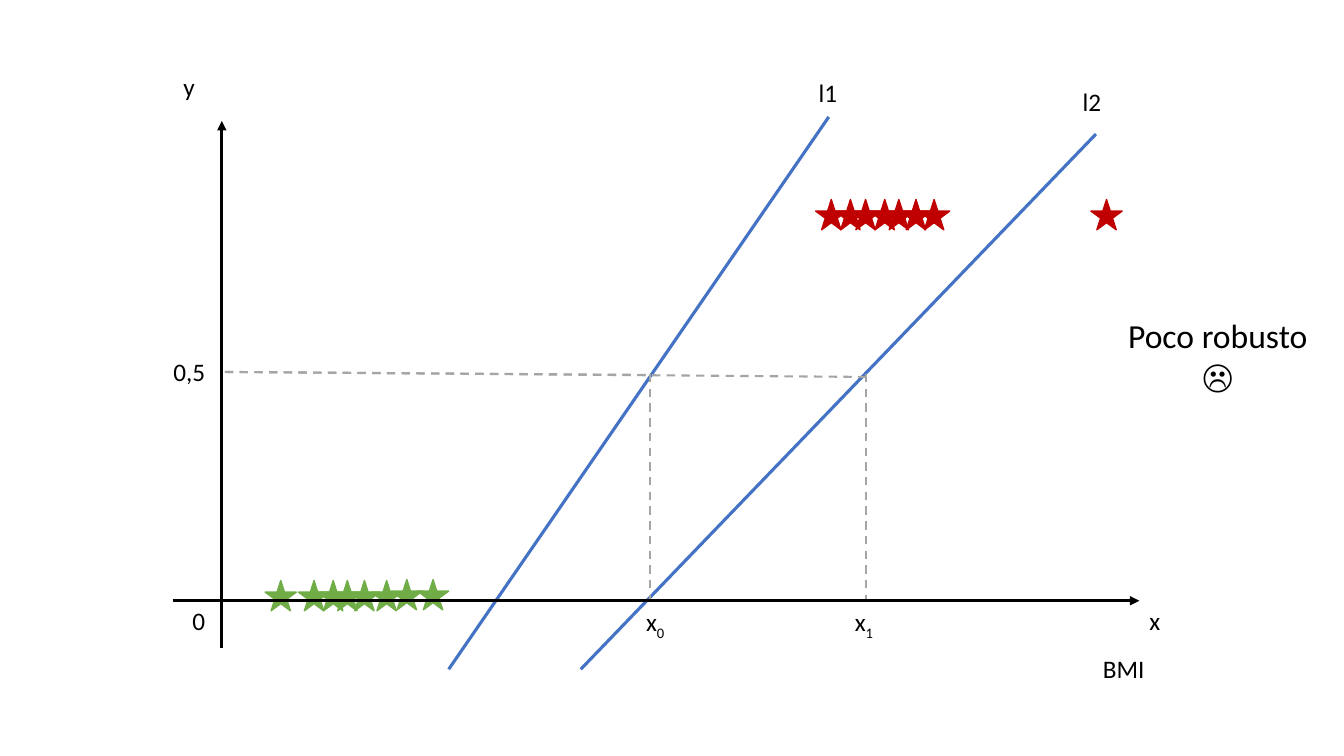
from lxml import etree
from pptx import Presentation
from pptx.dml.color import RGBColor
from pptx.enum.dml import MSO_LINE
from pptx.enum.shapes import MSO_CONNECTOR, MSO_SHAPE
from pptx.enum.text import MSO_AUTO_SIZE, PP_ALIGN
from pptx.oxml.ns import qn
from pptx.util import Inches, Pt

STAR = MSO_SHAPE.STAR_5_POINT
STRAIGHT = MSO_CONNECTOR.STRAIGHT
DASH = MSO_LINE.DASH
FIT = MSO_AUTO_SIZE.SHAPE_TO_FIT_TEXT
LEFT, CENTER = PP_ALIGN.LEFT, PP_ALIGN.CENTER

FONT = "Calibri"
BLACK, BLUE, GRAY = "000000", "4472C4", "A5A5A5"
GREEN, RED = "70AD47", "C00000"
STAR_W, STAR_H = 0.31, 0.3

# Left and top of each star
LOW = [(3.68, 5.76), (3.88, 5.75), (2.63, 5.76), (4.14, 5.75),
       (2.96, 5.76), (3.15, 5.76), (3.29, 5.76), (3.46, 5.76)]
HIGH = [(x, 1.98) for x in (9.11, 8.09, 8.28, 8.43, 8.62, 8.76, 8.93)]
FAR = (10.82, 1.98)

# Start and end of each line
FITS = [((4.45, 6.64), (8.22, 1.16)), ((5.76, 6.64), (10.87, 1.33))]
GUIDES = [((2.23, 3.69), (6.45, 3.72)), ((6.45, 3.71), (6.45, 5.97)),
          ((2.23, 3.69), (8.62, 3.74)), ((8.59, 3.71), (8.59, 5.97))]
AXES = [((2.2, 6.43), (2.2, 1.2)), ((1.72, 5.96), (11.3, 5.96))]

# Text, subscript, left, top, width
AXIS_TAGS = [("y", "", 1.72, 0.66, 0.32), ("x", "", 11.3, 5.96, 0.31),
             ("0", "", 1.81, 5.96, 0.33), ("BMI", "", 10.84, 6.43, 0.62),
             ("0,5", "", 1.62, 3.49, 0.52)]
TAGS = [("l1", "", 8.02, 0.72, 0.39), ("l2", "", 10.64, 0.81, 0.39),
        ("x", "0", 6.31, 5.97, 0.4), ("x", "1", 8.38, 5.97, 0.4)]
NOTE = [("Poco robusto", LEFT), ("☹", CENTER)]


def paint(part, color):
    part.fill.solid()
    part.fill.fore_color.rgb = RGBColor.from_string(color)


def add_star(shapes, spot, color):
    x, y = spot
    star = shapes.add_shape(STAR, Inches(x), Inches(y),
                            Inches(STAR_W), Inches(STAR_H))
    star.shadow.inherit = False
    paint(star, color)
    paint(star.line, color)
    star.line.width = Pt(1)


def add_line(shapes, ends, color, width=2.25, dash=None, arrow=False):
    (x1, y1), (x2, y2) = ends
    line = shapes.add_connector(STRAIGHT, Inches(x1), Inches(y1),
                                Inches(x2), Inches(y2))
    paint(line.line, color)
    line.line.width = Pt(width)
    if dash:
        line.line.dash_style = dash
    props = line._element.spPr
    if arrow:
        tip = etree.SubElement(props.find(qn("a:ln")), qn("a:tailEnd"))
        tip.set("type", "triangle")
    etree.SubElement(props, qn("a:effectLst"))


def add_box(shapes, x, y, w, h):
    box = shapes.add_textbox(Inches(x), Inches(y), Inches(w), Inches(h))
    frame = box.text_frame
    frame.word_wrap = False
    frame.auto_size = FIT
    return frame


def add_run(para, text, size):
    run = para.add_run()
    run.text = text
    run.font.name = FONT
    run.font.size = Pt(size)
    run.font.color.rgb = RGBColor.from_string(BLACK)
    return run


def add_tag(shapes, text, sub, x, y, w):
    para = add_box(shapes, x, y, w, 0.4).paragraphs[0]
    add_run(para, text, 18)
    if sub:
        run = add_run(para, sub, 18)
        run._r.get_or_add_rPr().set("baseline", "-25000")


def main():
    deck = Presentation()
    deck.slide_width, deck.slide_height = Inches(13.33), Inches(7.5)
    shapes = deck.slides.add_slide(deck.slide_layouts[6]).shapes

    for spots, color in ((LOW, GREEN), (HIGH, RED)):
        group = shapes.add_group_shape().shapes
        for spot in spots:
            add_star(group, spot, color)
    add_star(shapes, FAR, RED)

    for ends in FITS:
        add_line(shapes, ends, BLUE)
    for ends in GUIDES:
        add_line(shapes, ends, GRAY, 1.5, DASH)

    plot = shapes.add_group_shape().shapes
    for ends in AXES:
        add_line(plot, ends, BLACK, arrow=True)
    for tag in AXIS_TAGS:
        add_tag(plot, *tag)
    for tag in TAGS:
        add_tag(shapes, *tag)

    frame = add_box(shapes, 11.09, 3.07, 1.99, 0.91)
    for i, (text, align) in enumerate(NOTE):
        para = frame.add_paragraph() if i else frame.paragraphs[0]
        para.alignment = align
        add_run(para, text, 24)

    deck.save("out.pptx")


if __name__ == "__main__":
    main()
